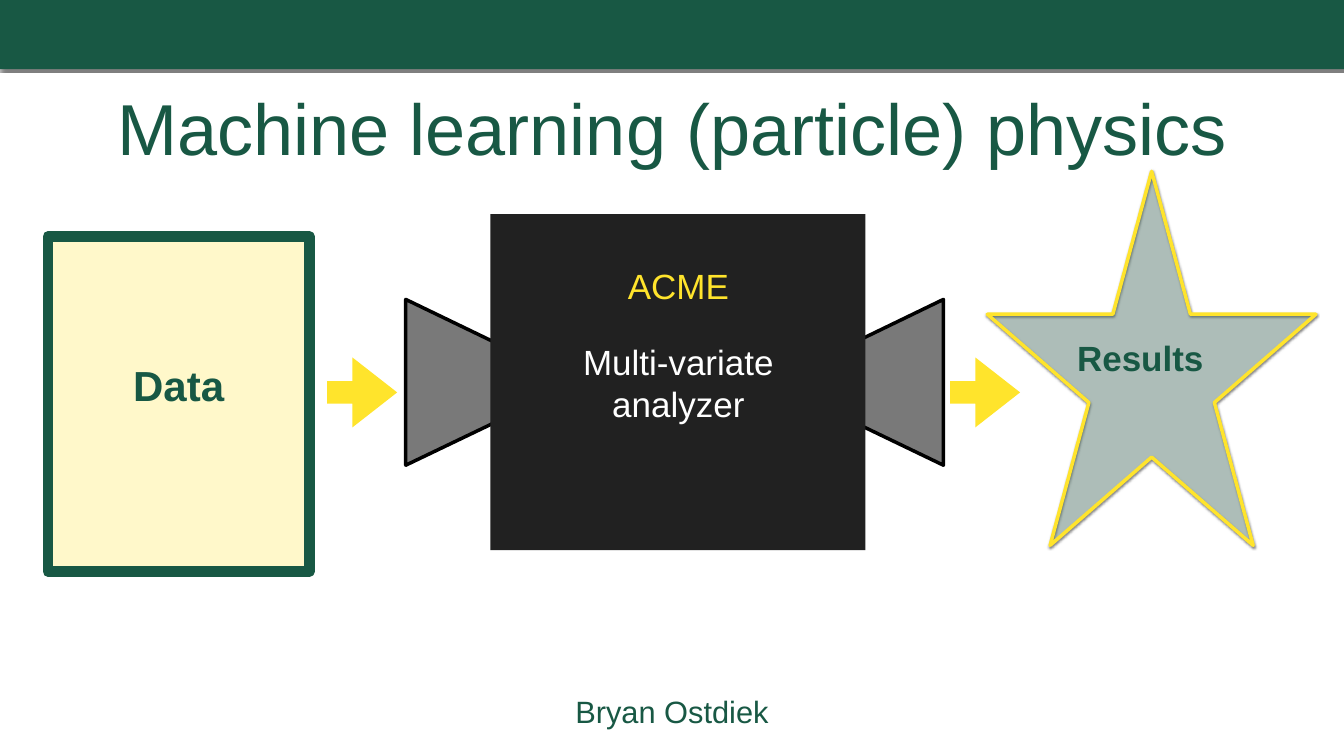
import pptx
import pptx.dml.color
import pptx.enum.shapes
import pptx.enum.text
import pptx.oxml
import pptx.oxml.ns
import pptx.util

RGB = pptx.dml.color.RGBColor
GREEN = RGB(0x18, 0x58, 0x44)
YELLOW = RGB(0xFF, 0xE4, 0x2C)
GREY = RGB(0x79, 0x79, 0x79)
DARK = RGB(0x21, 0x21, 0x21)
BLACK = RGB(0, 0, 0)
WHITE = RGB(0xFF, 0xFF, 0xFF)

FONT = "Arial"
COLS = 80
KIND = pptx.enum.shapes.MSO_SHAPE
NS = pptx.oxml.ns.nsdecls("a")
SHADOW = (
    f'<a:effectLst {NS}><a:outerShdw blurRad="38100" dist="25400" dir="5400000" '
    'rotWithShape="0"><a:srgbClr val="000000"><a:alpha val="50000"/></a:srgbClr>'
    "</a:outerShdw></a:effectLst>"
)


class Deck:
    """Draws on one slide; lengths are columns and rows of a square grid."""

    def __init__(self, width, height):
        self.prs = pptx.Presentation()
        self.prs.slide_width = pptx.util.Inches(width)
        self.prs.slide_height = pptx.util.Inches(height)
        self.unit = self.prs.slide_width / COLS
        self.slide = self.prs.slides.add_slide(self.prs.slide_layouts[0])

    def grid(self, *cells):
        return [pptx.util.Emu(round(cell * self.unit)) for cell in cells]

    def style(self, shape, fill, line=None, width=5, alpha=None, shadow=False):
        shape.shadow.inherit = False
        shape.fill.solid()
        shape.fill.fore_color.rgb = fill
        if line is None:
            shape.line.fill.background()
        else:
            shape.line.color.rgb = line
            shape.line.width = pptx.util.Pt(width)
        props = shape.element.spPr
        if alpha:
            tint = props.find(pptx.oxml.ns.qn("a:solidFill"))[0]
            tint.append(pptx.oxml.parse_xml(f'<a:alpha {NS} val="{alpha * 1000}"/>'))
        if shadow:
            old = props.find(pptx.oxml.ns.qn("a:effectLst"))
            props.replace(old, pptx.oxml.parse_xml(SHADOW))

    def shape(self, kind, cells, fill, adjust=(), **look):
        shape = self.slide.shapes.add_shape(kind, *self.grid(*cells))
        for i, value in enumerate(adjust):
            shape.adjustments[i] = value
        self.style(shape, fill, **look)

    def poly(self, points, fill, **look):
        first, *rest = [self.grid(*point) for point in points]
        build = self.slide.shapes.build_freeform(*first)
        build.add_line_segments(rest, close=True)
        self.style(build.convert_to_shape(), fill, **look)

    def label(self, box, text, size, color, bold=False, wrap=True, lead=1.0):
        frame = box.text_frame
        frame.text = text
        frame.word_wrap = wrap
        frame.auto_size = pptx.enum.text.MSO_AUTO_SIZE.NONE
        frame.vertical_anchor = pptx.enum.text.MSO_ANCHOR.MIDDLE
        inset = pptx.util.Inches(0.06)
        frame.margin_left = frame.margin_right = inset
        frame.margin_top = frame.margin_bottom = inset
        para = frame.paragraphs[0]
        para.alignment = pptx.enum.text.PP_ALIGN.CENTER
        para.space_before = pptx.util.Pt(0)
        para.line_spacing = lead
        font = para.runs[0].font
        font.name, font.size, font.bold = FONT, pptx.util.Pt(size), bold
        font.color.rgb = color

    def text(self, cells, text, size, color, **look):
        box = self.slide.shapes.add_textbox(*self.grid(*cells))
        self.label(box, text, size, color, **look)

    def holder(self, index, cells, text, size, color, **look):
        box = self.slide.placeholders[index]
        box.left, box.top, box.width, box.height = self.grid(*cells)
        self.label(box, text, size, color, **look)


def main():
    deck = Deck(26.67, 15)

    # Top bar, title and author
    deck.shape(KIND.RECTANGLE, (0, -0.05, COLS, 4.17), GREEN, shadow=True)
    deck.holder(0, (5.83, 4.59, 68.34, 6.5), "Machine learning (particle) physics",
                103, GREEN, lead=0.9)
    deck.holder(1, (15.42, 40.89, 49.17, 2.82), "Bryan Ostdiek", 44, GREEN)

    # Funnels into and out of the analyzer
    for tip, mouth in ((34.41, 24.15), (45.93, 56.16)):
        deck.poly([(tip, 22.77), (mouth, 27.69), (mouth, 17.82)], GREY, line=BLACK)

    # Black box
    deck.shape(KIND.RECTANGLE, (29.19, 12.75, 22.32, 20), DARK)
    deck.text((33.9, 20.1, 12.96, 5.34), "Multi-variate analyzer", 50, WHITE)
    deck.text((33.9, 15.57, 12.96, 2.82), "ACME", 50, YELLOW)

    # Data
    deck.shape(KIND.RECTANGLE, (2.85, 14.07, 15.57, 19.95), YELLOW,
               line=GREEN, width=15, alpha=25)
    deck.text((7.74, 21.24, 5.79, 3.33), "Data", 60, GREEN, bold=True, wrap=False)

    # Flow arrows
    for left in (19.47, 56.55):
        deck.shape(KIND.RIGHT_ARROW, (left, 21.27, 4.17, 4.17), YELLOW, (0.32, 0.64))

    # Results
    deck.shape(KIND.STAR_5_POINT, (58.77, 10.2, 19.56, 22.26), GREEN,
               line=YELLOW, alpha=25, shadow=True)
    deck.text((63.93, 19.86, 7.89, 2.82), "Results", 50, GREEN, bold=True, wrap=False)

    deck.prs.save("out.pptx")


if __name__ == "__main__":
    main()
